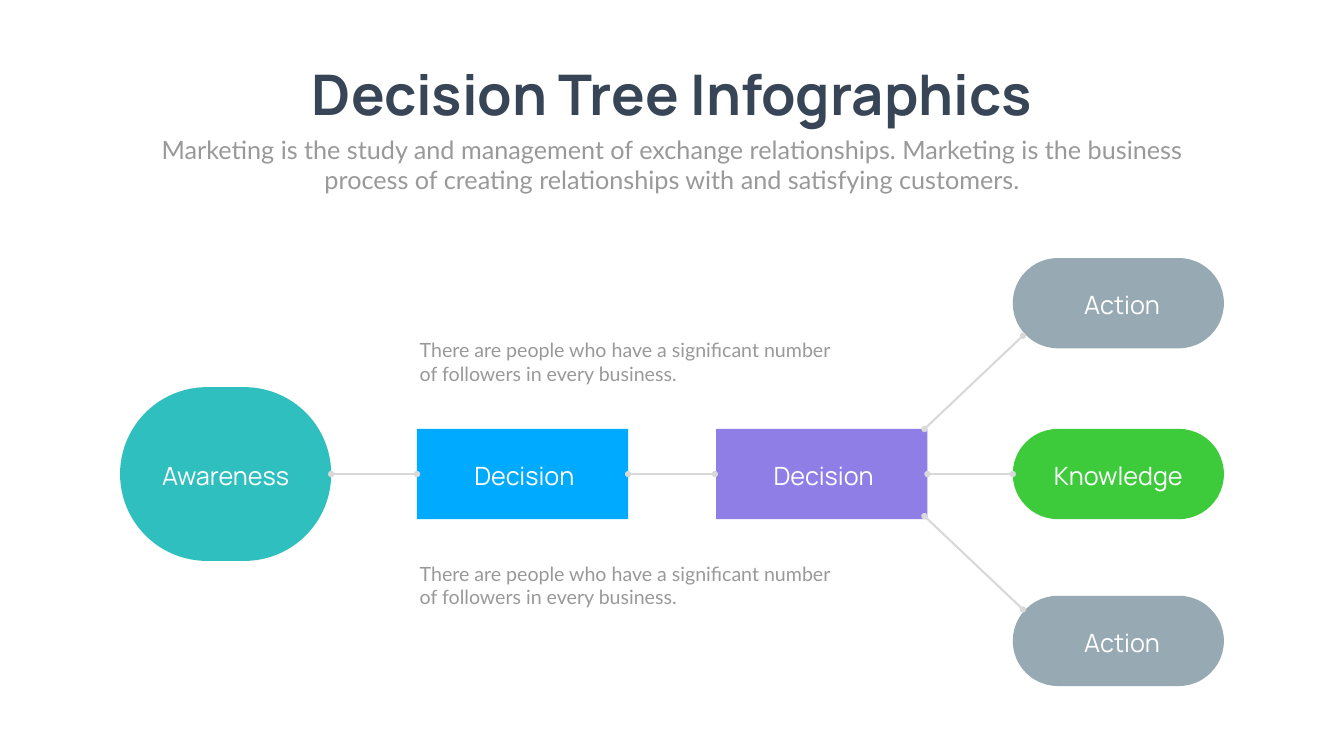
from dataclasses import dataclass

from lxml.etree import SubElement
from pptx import Presentation
from pptx.dml.color import RGBColor
from pptx.enum.shapes import MSO_CONNECTOR, MSO_SHAPE
from pptx.enum.text import MSO_ANCHOR, MSO_AUTO_SIZE, PP_ALIGN
from pptx.oxml.ns import qn
from pptx.util import Cm, Pt


@dataclass(frozen=True)
class Theme:
    background: str = "FEFFFE"
    heading: str = "374556"
    body: str = "999999"
    label: str = "FFFFFF"
    connector: str = "D9D9D9"
    awareness: str = "2FBFBF"
    first_decision: str = "00AAFE"
    second_decision: str = "8E7EE5"
    knowledge: str = "3DCB3C"
    action: str = "97AAB3"
    heading_font: str = "Manrope"
    body_font: str = "Lato"
    title_size: int = 80
    subtitle_size: int = 36
    label_size: int = 36
    note_size: int = 28
    connector_width: int = 3


def write_text(shape, text, font_name, size, color, align, anchor, bold=False):
    frame = shape.text_frame
    frame.word_wrap = True
    frame.auto_size = MSO_AUTO_SIZE.NONE
    frame.vertical_anchor = anchor
    paragraph = frame.paragraphs[0]
    paragraph.alignment = align
    run = paragraph.add_run()
    run.text = text
    run.font.name = font_name
    run.font.size = Pt(size)
    run.font.bold = bold
    run.font.color.rgb = RGBColor.from_string(color)


theme = Theme()
presentation = Presentation()
presentation.slide_width = Cm(67.72)
presentation.slide_height = Cm(38.1)
slide = presentation.slides.add_slide(presentation.slide_layouts[5])
slide.background.fill.solid()
slide.background.fill.fore_color.rgb = RGBColor.from_string(theme.background)

title = slide.shapes.title
title.left, title.top, title.width, title.height = Cm(14.17), Cm(2.84), Cm(39.4), Cm(3.68)
write_text(title, "Decision Tree Infographics", theme.heading_font, theme.title_size,
           theme.heading, PP_ALIGN.CENTER, MSO_ANCHOR.MIDDLE, bold=True)

subtitle = slide.shapes.add_textbox(Cm(7.42), Cm(6.63), Cm(52.88), Cm(3.33))
write_text(subtitle,
           "Marketing is the study and management of exchange relationships. "
           "Marketing is the business process of creating relationships with and "
           "satisfying customers.",
           theme.body_font, theme.subtitle_size, theme.body, PP_ALIGN.CENTER, MSO_ANCHOR.TOP)

node_width, node_height, awareness_height = 10.64, 4.55, 8.76
awareness_left, first_left, second_left, outcome_left = 6.05, 21.01, 36.09, 51.03
middle = 23.89
top_middle, bottom_middle = 15.28, 32.3

nodes = [
    ("Awareness", awareness_left, middle, awareness_height, 0.5, theme.awareness, 0),
    ("Decision", first_left, middle, node_height, 0, theme.first_decision, 0.18),
    ("Decision", second_left, middle, node_height, 0, theme.second_decision, 0.18),
    ("Action", outcome_left, top_middle, node_height, 0.5, theme.action, 0.38),
    ("Knowledge", outcome_left, middle, node_height, 0.5, theme.knowledge, 0),
    ("Action", outcome_left, bottom_middle, node_height, 0.5, theme.action, 0.38),
]
for label, left, center, height, rounding, color, label_shift in nodes:
    node = slide.shapes.add_shape(MSO_SHAPE.ROUNDED_RECTANGLE, Cm(left), Cm(center - height / 2),
                                  Cm(node_width), Cm(height))
    node.adjustments[0] = rounding
    node.shadow.inherit = False
    node.fill.solid()
    node.fill.fore_color.rgb = RGBColor.from_string(color)
    node.line.fill.background()
    write_text(node, label, theme.heading_font, theme.label_size, theme.label,
               PP_ALIGN.CENTER, MSO_ANCHOR.MIDDLE)
    node.text_frame.margin_left = Cm(label_shift)
    node.text_frame.margin_right = 0
    node.text_frame.margin_top = Cm(0.14)
    node.text_frame.margin_bottom = 0

branch_start, branch_end = 46.58, 51.54
links = [
    (awareness_left + node_width, middle, first_left, middle),
    (first_left + node_width, middle, second_left - 0.07, middle),
    (second_left + node_width, middle, outcome_left, middle),
    (branch_start, 21.62, branch_end, 16.92),
    (branch_start, 26.01, branch_end, 30.71),
]
for link in links:
    connector = slide.shapes.add_connector(MSO_CONNECTOR.STRAIGHT, *[Cm(value) for value in link])
    connector.line.color.rgb = RGBColor.from_string(theme.connector)
    connector.line.width = Pt(theme.connector_width)
    outline = connector.line._get_or_add_ln()
    for line_end in ("a:headEnd", "a:tailEnd"):
        SubElement(outline, qn(line_end), type="oval")
    SubElement(connector._element.spPr, qn("a:effectLst"))

for note_top in (16.92, 28.19):
    note = slide.shapes.add_textbox(Cm(20.9), Cm(note_top), Cm(21.46), Cm(2.64))
    write_text(note,
               "There are people who have a significant number of followers in every business.",
               theme.body_font, theme.note_size, theme.body, PP_ALIGN.LEFT, MSO_ANCHOR.TOP)

presentation.save("out.pptx")
